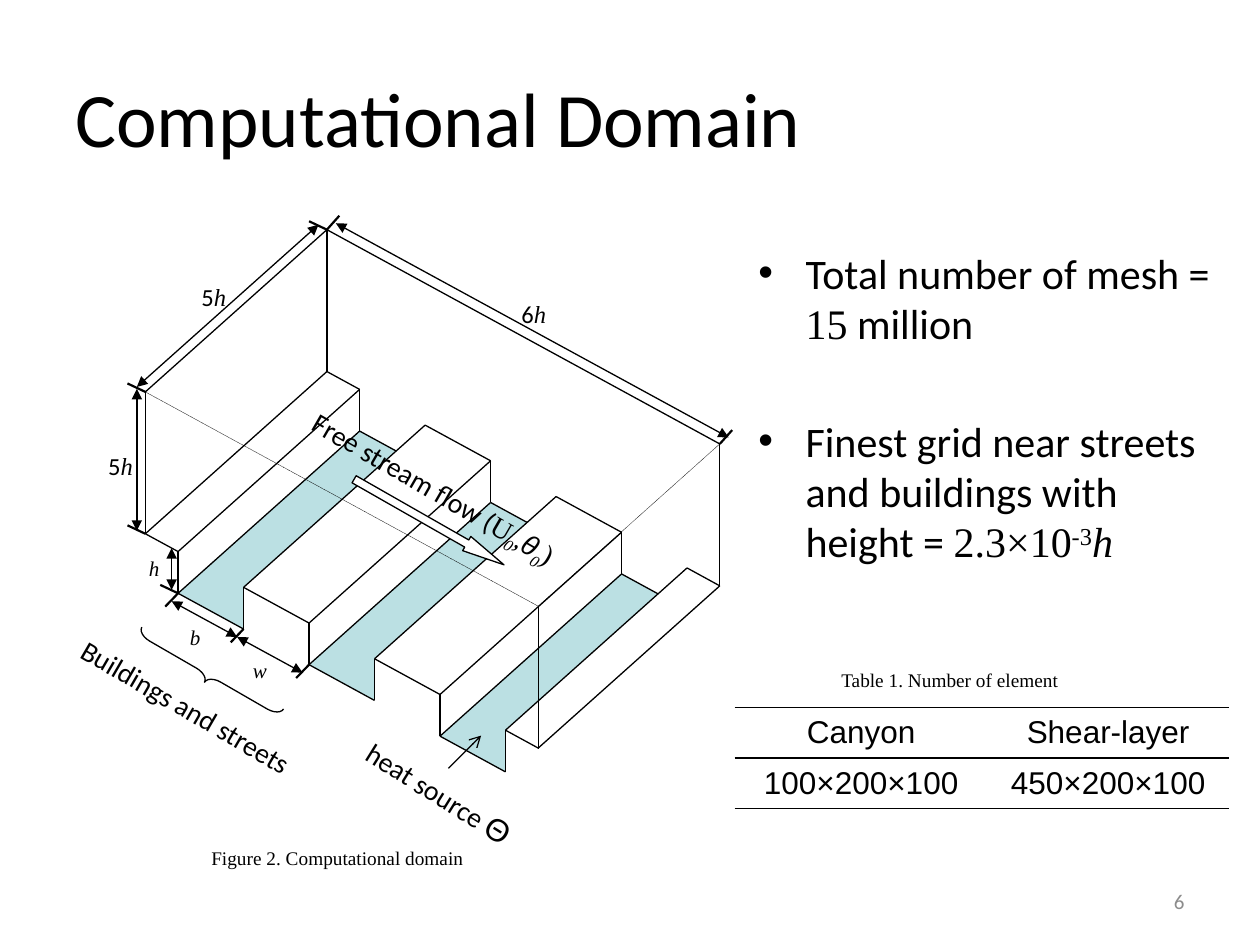
from lxml import etree
from pptx import Presentation
from pptx.dml.color import RGBColor
from pptx.enum.dml import MSO_LINE
from pptx.enum.shapes import MSO_CONNECTOR, MSO_SHAPE
from pptx.enum.text import MSO_ANCHOR, PP_ALIGN
from pptx.oxml.ns import qn
from pptx.util import Cm, Pt

STRAIGHT = MSO_CONNECTOR.STRAIGHT
DOTTED = MSO_LINE.ROUND_DOT
TOP_ANCHOR, MIDDLE = MSO_ANCHOR.TOP, MSO_ANCHOR.MIDDLE
LEFT, CENTER, RIGHT = PP_ALIGN.LEFT, PP_ALIGN.CENTER, PP_ALIGN.RIGHT

COLORS = {"ink": "000000", "street": "BBE0E3", "paper": "FFFFFF", "page": "8C8C8C"}
SANS, SERIF, ARIAL = "Calibri", "Times New Roman", "Arial"
LABEL_INSETS = (0.1, 0.05)

# Oblique projection of the domain, in cm
ORIGIN = (1.73, 7.3)
STREAM = (1.32, 0.72)   # one building height downstream
SPAN = (3.66, -3.27)    # front to back
GROUND, ROOF, CEILING = 0, 0.84, 3.7
LENGTH = 6
STREETS = [(0.5, 1.5), (2.5, 3.5), (4.5, 5.5)]
ROOFS = [(0, 0.5), (1.5, 2.5), (3.5, 4.5), (5.5, 6)]
BACK_SHOWN = 0.56       # part of a street's back edge not hidden by the next roof
ROOF_EDGE_SHOWN = 0.84  # where that roof's edge meets the back edge


def color(name):
    return RGBColor.from_string(COLORS[name])


def fill_text(frame, paragraphs, size=16, font=SANS, ink="ink", align=LEFT,
              anchor=TOP_ANCHOR, insets=(0.25, 0.13), gap=0, bullet=None):
    """Each paragraph is a list of (text, overrides) runs."""
    frame.word_wrap = True
    frame.vertical_anchor = anchor
    frame.margin_left = frame.margin_right = Cm(insets[0])
    frame.margin_top = frame.margin_bottom = Cm(insets[1])
    for index, runs in enumerate(paragraphs):
        paragraph = frame.add_paragraph() if index else frame.paragraphs[0]
        paragraph.alignment = align
        if index:
            paragraph.space_before = Pt(gap)
        if bullet:
            properties = paragraph._p.get_or_add_pPr()
            properties.set("marL", str(Cm(0.95)))
            properties.set("indent", str(-Cm(0.95)))
            etree.SubElement(properties, qn("a:buFont"), typeface=ARIAL)
            etree.SubElement(properties, qn("a:buChar"), char=bullet)
        for words, style in runs:
            run = paragraph.add_run()
            run.text = words
            run.font.name = style.get("font", font)
            run.font.size = Pt(style.get("size", size))
            run.font.italic = style.get("italic", False)
            run.font.color.rgb = color(ink)
            if "baseline" in style:
                run._r.get_or_add_rPr().set("baseline", str(style["baseline"] * 1000))


def add_text(slide, box, paragraphs, rotation=0, **style):
    holder = slide.shapes.add_textbox(*map(Cm, box))
    holder.rotation = rotation
    fill_text(holder.text_frame, paragraphs, **style)


def add_line(slide, start, end, width=0.75, dash=None, head=None, tail=None):
    line = slide.shapes.add_connector(STRAIGHT, *map(Cm, (*start, *end)))
    line.line.color.rgb = color("ink")
    line.line.width = Pt(width)
    if dash:
        line.line.dash_style = dash
    outline = line.line._get_or_add_ln()
    for tag, kind in (("a:headEnd", head), ("a:tailEnd", tail)):
        if kind:
            etree.SubElement(outline, qn(tag), type=kind)
    etree.SubElement(line._element.spPr, qn("a:effectLst"))


def shift(point, offset):
    return point[0] + offset[0], point[1] + offset[1]


def add_outlined(slide, kind, box, rotation, adjustments, fill=None):
    shape = slide.shapes.add_shape(kind, *map(Cm, box))
    shape.shadow.inherit = False
    shape.rotation = rotation
    for index, value in enumerate(adjustments):
        shape.adjustments[index] = value
    if fill:
        shape.fill.solid()
        shape.fill.fore_color.rgb = color(fill)
    else:
        shape.fill.background()
    shape.line.color.rgb = color("ink")
    shape.line.width = Pt(0.75)


def draw_domain(slide, left, top):
    def project(x, y, z):
        return (left + ORIGIN[0] + x * STREAM[0] + y * SPAN[0],
                top + ORIGIN[1] + x * STREAM[1] + y * SPAN[1] - z)

    def edge(start, end, **style):
        add_line(slide, project(*start), project(*end), **style)

    for x0, x1 in STREETS:
        corners = [(x0, 0, GROUND), (x1, 0, GROUND), (x1, 0, ROOF),
                   (x1, ROOF_EDGE_SHOWN, ROOF), (x0, 1, GROUND)]
        points = [tuple(map(Cm, project(*corner))) for corner in corners]
        builder = slide.shapes.build_freeform(*points[0])
        builder.add_line_segments(points[1:])
        floor = builder.convert_to_shape()
        floor.shadow.inherit = False
        floor.fill.solid()
        floor.fill.fore_color.rgb = color("street")
        floor.line.fill.background()
        edge((x0, 0, GROUND), (x1, 0, GROUND))
        edge((x0, 1, GROUND), (x0 + BACK_SHOWN, 1, GROUND))
        edge((x0, 0, GROUND), (x0, 1, GROUND))
        for x, y in ((x0, 0), (x1, 0), (x0, 1)):
            edge((x, y, GROUND), (x, y, ROOF))
    for x0, x1 in ROOFS:
        for y in (0, 1):
            edge((x0, y, ROOF), (x1, y, ROOF))
        for x in (x0, x1):
            edge((x, 0, ROOF), (x, 1, ROOF))

    edge((0, 1, CEILING), (LENGTH, 1, CEILING))
    edge((0, 0, CEILING), (0, 1, CEILING))
    for x, y in ((0, 0), (0, 1), (LENGTH, 1)):
        edge((x, y, ROOF), (x, y, CEILING))
    front_corner = (LENGTH, 0, CEILING)
    for other in ((0, 0, CEILING), (LENGTH, 1, CEILING), (LENGTH, 0, ROOF)):
        edge(other, front_corner, width=0.25, dash=DOTTED)

    dimensions = [
        ((0, 1, CEILING), (LENGTH, 1, CEILING), (0.18, -0.13)),
        ((0, 0, CEILING), (0, 1, CEILING), (-0.17, -0.1)),
        ((0, 0, CEILING), (0, 0, ROOF), (-0.17, -0.06)),
        ((0.5, 0, ROOF), (0.5, 0, GROUND), (-0.13, -0.07)),
        ((0.5, 0, GROUND), (1.5, 0, GROUND), (-0.13, 0.16)),
        ((1.5, 0, GROUND), (2.5, 0, GROUND), (-0.13, 0.16)),
    ]
    for start, end, offset in dimensions:
        add_line(slide, shift(project(*start), offset), shift(project(*end), offset),
                 head="triangle", tail="triangle")
    ticks = {
        (0.25, -0.28): [(0, 1, CEILING), (LENGTH, 1, CEILING)],
        (-0.36, -0.17): [(0, 1, CEILING), (0, 0, CEILING), (0, 0, ROOF), (0.5, 0, GROUND)],
        (-0.26, 0.27): [(x, 0, GROUND) for x in (0.5, 1.5, 2.5)],
    }
    for reach, corners in ticks.items():
        for corner in corners:
            base = project(*corner)
            add_line(slide, base, shift(base, reach), width=1.25)

    italic = {"font": SERIF, "italic": True}
    lengths = [("6", 9.21, 1.67), ("5", 2.76, 1.34), ("5", 0.88, 4.74)]
    for count, x, y in lengths:
        add_text(slide, (left + x, top + y, 1.5, 0.79), [[(count, {}), ("h", italic)]],
                 size=14, insets=LABEL_INSETS)
    for symbol, x, y in [("h", 1.7, 6.85), ("b", 2.53, 8.25), ("w", 3.8, 8.91)]:
        add_text(slide, (left + x, top + y, 1.09, 0.79), [[(symbol, italic)]],
                 size=12, insets=LABEL_INSETS)

    add_outlined(slide, MSO_SHAPE.RIGHT_ARROW, (left + 5.71, top + 6.06, 3.48, 0.33),
                 29.7, (0.5, 2.62), fill="paper")
    add_outlined(slide, MSO_SHAPE.LEFT_BRACE, (left + 2.84, top + 7.66, 0.33, 3.3),
                 300, (0.85, 0.5))
    subscript = {**italic, "baseline": -25}
    add_text(slide, (left + 4.59, top + 5.53, 7.19, 0.79),
             [[("Free stream flow (", {}), ("U", {"font": SERIF}), ("0", subscript),
               (",", italic), ("θ", {"font": ARIAL, "italic": True}), ("0", subscript),
               (")", {"font": SERIF})]], rotation=30, insets=LABEL_INSETS)
    add_text(slide, (left + 0.02, top + 9.75, 5.72, 0.79),
             [[("Buildings and streets", {})]], rotation=30.2, insets=LABEL_INSETS)
    add_text(slide, (left + 5.68, top + 11.45, 4.88, 1.02),
             [[("heat source ", {}), ("Θ", {"font": ARIAL, "size": 18})]], rotation=32)
    add_line(slide, (left + 7.84, top + 11.19), (left + 8.5, top + 10.53), tail="arrow")
    add_text(slide, (left + 2.81, top + 12.64, 5.92, 1.68),
             [[("Figure 2. Computational domain", {})]], size=11, font=SERIF)


def draw_mesh_notes(slide, box):
    serif = {"font": SERIF}
    add_text(slide, box, [
        [("Total number of mesh = ", {}), ("15", serif), (" million", {})],
        [("Finest grid near streets and buildings with height = ", {}),
         ("2.3×10", serif), ("-3", {**serif, "baseline": 30}),
         ("h", {**serif, "italic": True})],
    ], size=24, gap=38.5, bullet="•")


def draw_element_table(slide, left, top):
    add_text(slide, (left + 1.9, top - 0.92, 5.92, 1.2),
             [[("Table 1. Number of element", {})]], size=11, font=SERIF)
    rows = [("Canyon", "Shear-layer"), ("100×200×100", "450×200×100")]
    widths, row_height = (5.1, 4.86), 1.02
    table = slide.shapes.add_table(2, 2, Cm(left), Cm(top), Cm(sum(widths)),
                                   Cm(2 * row_height)).table
    table.first_row = table.horz_banding = False
    for column, width in zip(table.columns, widths):
        column.width = Cm(width)
    for r, values in enumerate(rows):
        table.rows[r].height = Cm(row_height)
        for c, value in enumerate(values):
            cell = table.cell(r, c)
            fill_text(cell.text_frame, [[(value, {})]], size=18, font=ARIAL, align=CENTER)
            cell.vertical_anchor = MIDDLE
            properties = cell._tc.get_or_add_tcPr()
            for side in ("L", "R", "T", "B"):
                border = etree.SubElement(properties, qn(f"a:ln{side}"), w=str(Pt(1)))
                if side in "LR":
                    etree.SubElement(border, qn("a:noFill"))
                else:
                    solid = etree.SubElement(border, qn("a:solidFill"))
                    etree.SubElement(solid, qn("a:srgbClr"), val=COLORS["ink"])
            cell.fill.background()


def main():
    deck = Presentation()
    deck.slide_width, deck.slide_height = Cm(25.4), Cm(19.05)
    slide = deck.slides.add_slide(deck.slide_layouts[6])
    add_text(slide, (1.27, 0.76, 22.86, 3.18), [[("Computational Domain", {})]],
             size=44, anchor=MIDDLE)
    draw_mesh_notes(slide, (15.04, 4.85, 9.73, 12.57))
    draw_domain(slide, 1.2, 4.3)
    draw_element_table(slide, 14.81, 14.26)
    add_text(slide, (18.21, 17.65, 5.92, 1.02), [[("6", {})]], size=12, ink="page",
             align=RIGHT, anchor=MIDDLE)
    deck.save("out.pptx")


if __name__ == "__main__":
    main()
